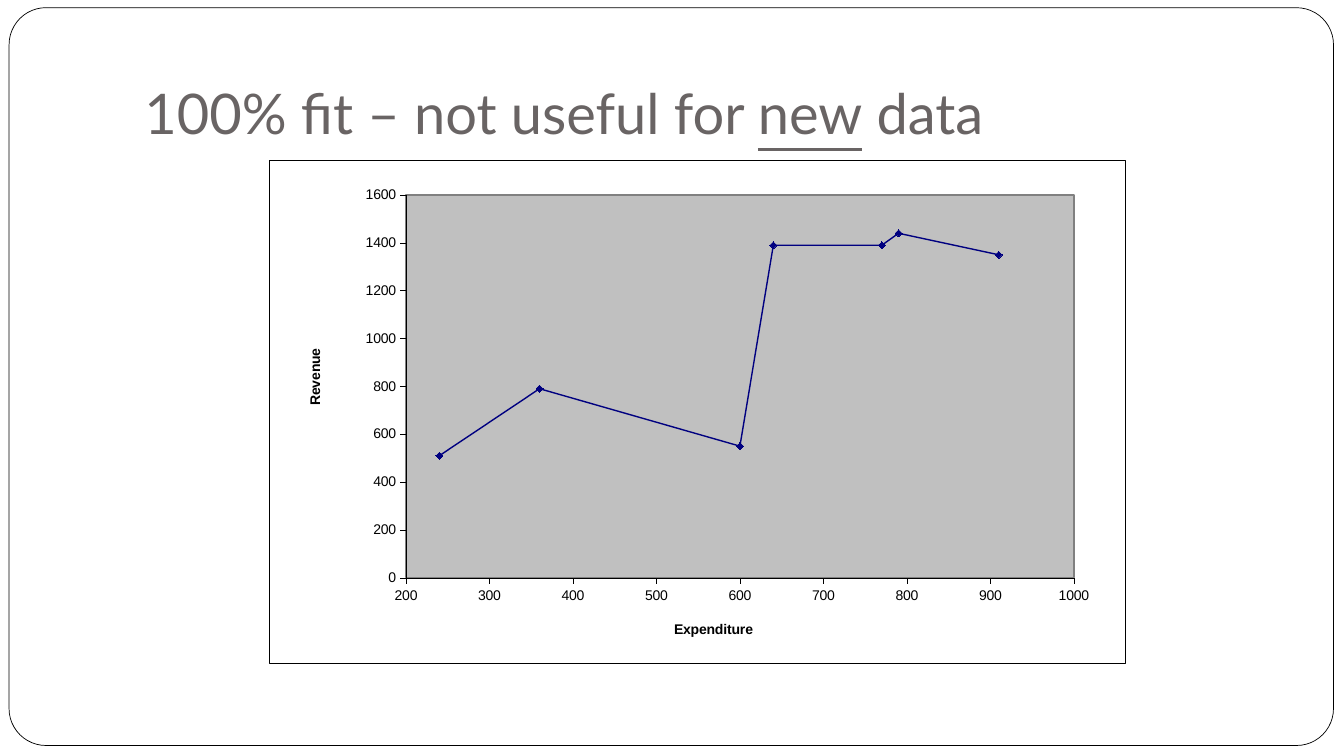
import pptx
import pptx.chart.data
import pptx.dml.color
import pptx.enum.chart
import pptx.enum.shapes
import pptx.enum.text
import pptx.oxml
import pptx.oxml.ns
import pptx.util

Pt = pptx.util.Pt
qn = pptx.oxml.ns.qn
NAMESPACES = pptx.oxml.ns.nsdecls("c", "a")

EXPENDITURE = [240, 360, 600, 640, 770, 790, 910]
REVENUE = [510, 790, 550, 1390, 1390, 1440, 1350]


def color(hex_string):
    return pptx.dml.color.RGBColor.from_string(hex_string)


def paint(target, fill, line, width):
    target.fill.solid()
    target.fill.fore_color.rgb = color(fill)
    target.line.color.rgb = color(line)
    target.line.width = Pt(width)


def area_properties(fill, line, width):
    """Return the fill and border element of a chart area."""
    return pptx.oxml.parse_xml(
        f'<c:spPr {NAMESPACES}><a:solidFill><a:srgbClr val="{fill}"/></a:solidFill>'
        f'<a:ln w="{Pt(width)}"><a:solidFill><a:srgbClr val="{line}"/></a:solidFill></a:ln></c:spPr>')


def set_layout(parent, position, target=""):
    """Place a chart part by hand, in fractions of the chart."""
    old_layout = parent.find(qn("c:layout"))
    if old_layout is not None:
        parent.remove(old_layout)
    names = ("x", "y", "w", "h")
    modes = '<c:xMode val="edge"/><c:yMode val="edge"/>'
    values = "".join(f'<c:{name} val="{value}"/>' for name, value in zip(names, position))
    layout = pptx.oxml.parse_xml(
        f"<c:layout {NAMESPACES}><c:manualLayout>{target}{modes}{values}</c:manualLayout></c:layout>")
    text = parent.find(qn("c:tx"))
    parent.insert(0 if text is None else 1, layout)


def add_frame(slide, left, top, width, height):
    frame = slide.shapes.add_shape(
        pptx.enum.shapes.MSO_SHAPE.ROUNDED_RECTANGLE, Pt(left), Pt(top), Pt(width), Pt(height))
    frame.adjustments[0] = 0.05
    frame.shadow.inherit = False
    paint(frame, "FFFFFF", "000000", 0.5)
    slide.shapes.title._element.addprevious(frame._element)


def fill_title(slide, left, top, width, height):
    title = slide.shapes.title
    title.left, title.top, title.width, title.height = Pt(left), Pt(top), Pt(width), Pt(height)
    frame = title.text_frame
    frame.word_wrap = True
    frame.auto_size = pptx.enum.text.MSO_AUTO_SIZE.NONE
    frame.vertical_anchor = pptx.enum.text.MSO_ANCHOR.BOTTOM
    frame.margin_left = frame.margin_right = frame.margin_bottom = Pt(7.2)
    frame.margin_top = Pt(3.6)
    para = frame.paragraphs[0]
    para.alignment = pptx.enum.text.PP_ALIGN.LEFT
    for text, underlined in (("100% fit – not useful for ", False), ("new", True), (" data", False)):
        span = para.add_run()
        span.text = text
        span.font.name = "Lato"
        span.font.size = Pt(40)
        span.font.color.rgb = color("696464")
        span.font.underline = underlined


def set_font(font, bold=False):
    font.name = "Arial"
    font.size = Pt(10)
    font.bold = bold
    font.color.rgb = color("000000")


def format_axis(axis, name, scale, title_position, rotation):
    axis.minimum_scale, axis.maximum_scale, axis.major_unit = scale
    axis.has_major_gridlines = False
    axis.major_tick_mark = pptx.enum.chart.XL_TICK_MARK.OUTSIDE
    axis.minor_tick_mark = pptx.enum.chart.XL_TICK_MARK.NONE
    axis.tick_labels.number_format = "General"
    axis.tick_labels.number_format_is_linked = False
    axis.format.line.color.rgb = color("000000")
    axis.format.line.width = Pt(0.25)
    set_font(axis.tick_labels.font)
    frame = axis.axis_title.text_frame
    frame.text = name
    set_font(frame.paragraphs[0].runs[0].font, bold=True)
    title = axis.axis_title._element
    next(title.iter(qn("a:bodyPr"))).set("rot", str(rotation * 60000))
    set_layout(title, title_position)


def add_revenue_chart(slide, left, top, width, height):
    data = pptx.chart.data.XyChartData()
    points = data.add_series("Series 1")
    for expenditure, revenue in zip(EXPENDITURE, REVENUE):
        points.add_data_point(expenditure, revenue)
    chart = slide.shapes.add_chart(
        pptx.enum.chart.XL_CHART_TYPE.XY_SCATTER_SMOOTH,
        Pt(left), Pt(top), Pt(width), Pt(height), data).chart
    chart.has_title = False
    chart.has_legend = False
    set_font(chart.font)
    format_axis(chart.category_axis, "Expenditure", (200, 1000, 100), (0.47, 0.91), 0)
    format_axis(chart.value_axis, "Revenue", (0, 1600, 200), (0.04, 0.37), -90)

    series = chart.plots[0].series[0]
    series.smooth = True
    series.format.line.color.rgb = color("000080")
    series.format.line.width = Pt(1)
    series.marker.style = pptx.enum.chart.XL_MARKER_STYLE.DIAMOND
    series.marker.size = 5
    paint(series.marker.format, "000080", "000080", 0.75)

    chart_space = chart._chartSpace
    chart_space.find(qn("c:txPr")).addprevious(area_properties("FFFFFF", "000000", 0.25))
    plot_area = next(chart_space.iter(qn("c:plotArea")))
    plot_area.append(area_properties("C0C0C0", "808080", 1))
    set_layout(plot_area, (0.16, 0.07, 0.78, 0.76), '<c:layoutTarget val="inner"/>')


def main():
    deck = pptx.Presentation()
    deck.slide_width, deck.slide_height = Pt(960), Pt(540)
    slide = deck.slides.add_slide(deck.slide_layouts.get_by_name("Title Only"))
    add_frame(slide, 6.5, 5.5, 946, 527)
    fill_title(slide, 96, 21.6, 816, 90)
    add_revenue_chart(slide, 192, 114, 612, 360)
    deck.save("out.pptx")


if __name__ == "__main__":
    main()
